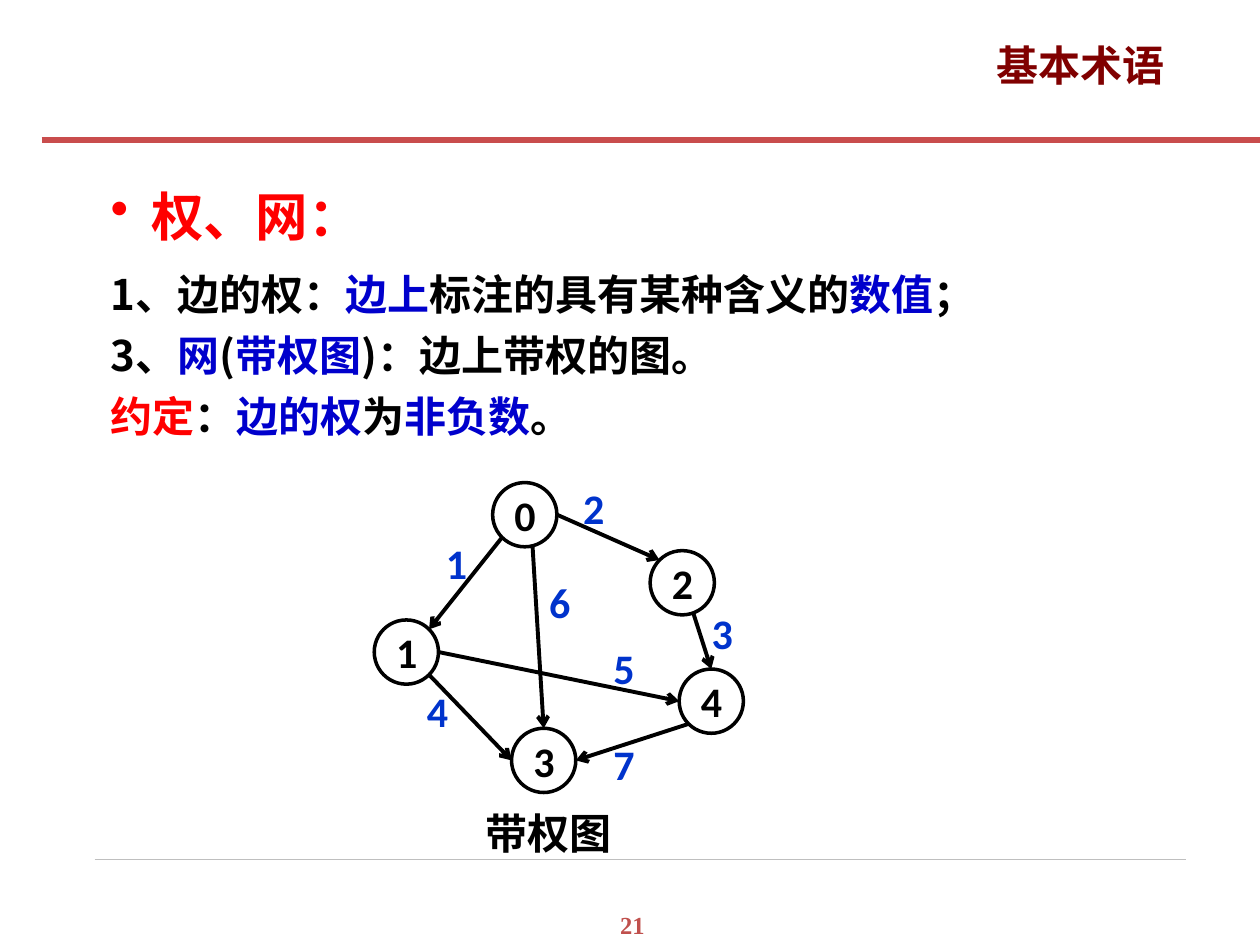
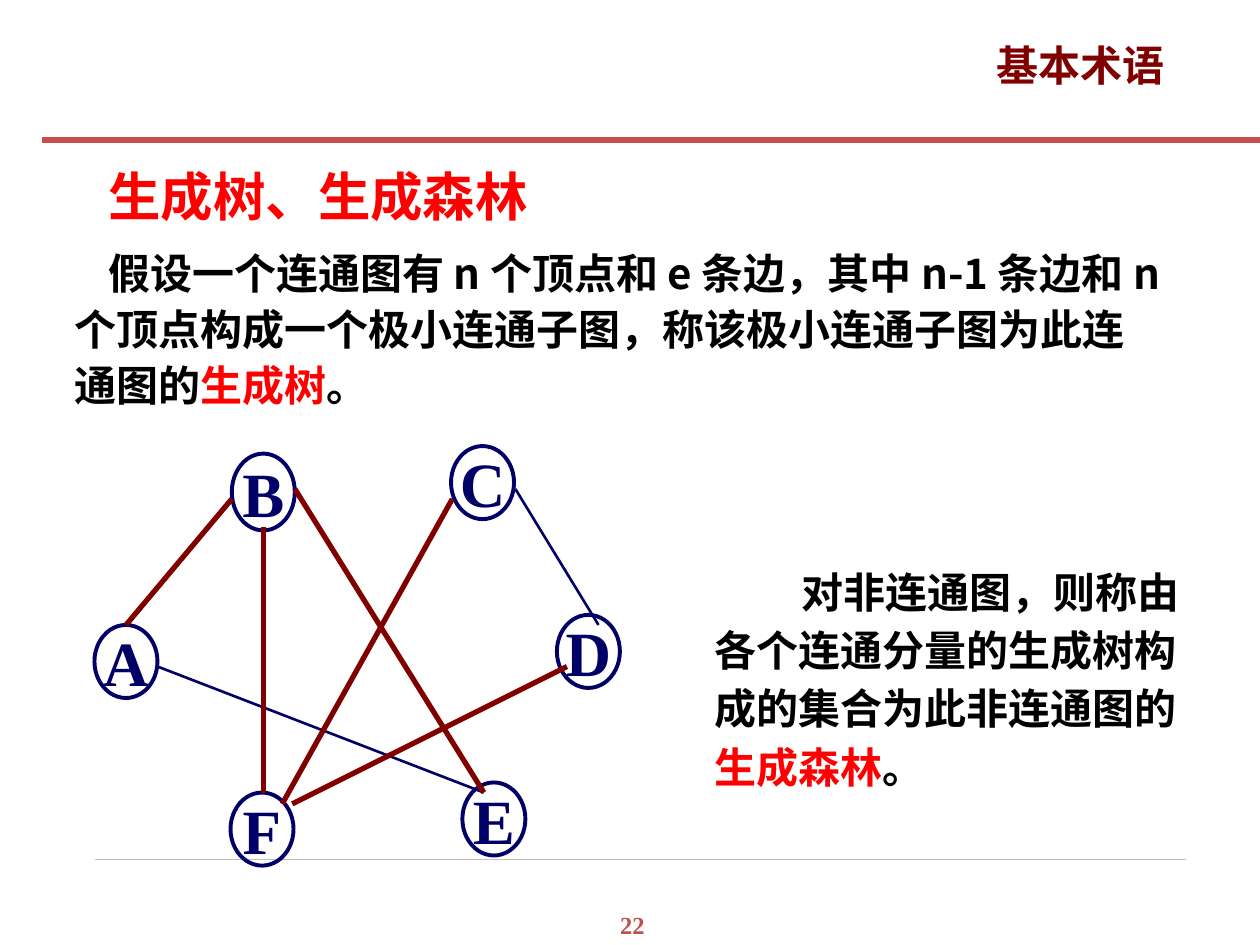
from math import cos, radians, sin
from lxml import etree
from pptx import Presentation
from pptx.dml.color import RGBColor
from pptx.enum.shapes import MSO_CONNECTOR, MSO_SHAPE
from pptx.enum.text import MSO_ANCHOR, PP_ALIGN
from pptx.oxml.ns import qn
from pptx.util import Inches, Pt

CJK, SERIF, SANS = "Noto Sans CJK SC", "Times New Roman", "Calibri"
BLACK, RED, MAROON, NAVY = "000000", "FF0000", "800000", "000066"
KEY, WEIGHT, BAND, NUMBER, RULE = "0000CC", "0033CC", "C94D4D", "C0504D", "BFBFBF"

TITLE = " 基本术语"
NET_HEADING = "权、网："
NET_LINES = [
    [("1、边的权：", BLACK), ("边上", KEY), ("标注的具有某种含义的", BLACK),
     ("数值", KEY), ("；", BLACK)],
    [("3、", BLACK), ("网", KEY), ("(", BLACK), ("带权图", KEY),
     (")：边上带权的图。", BLACK)],
    [("约定", RED), ("：", BLACK), ("边的权", KEY), ("为", BLACK),
     ("非负数", KEY), ("。", BLACK)],
]
NET_CAPTION = "带权图"
NET_SIZE = 0.51
NET_NODES = {"0": (3.91, 3.83), "1": (2.97, 4.92), "2": (5.16, 4.37),
             "3": (4.06, 5.78), "4": (5.39, 5.31)}
NET_ARROWS = [
    ("0", 135, "1", -45, "1", (3.44, 4.22)),
    ("0", 0, "2", -135, "2", (4.53, 3.78)),
    ("2", 70, "4", -90, "3", (5.55, 4.77)),
    ("1", 45, "3", 180, "4", (3.29, 5.39)),
    ("1", 0, "4", 180, "5", (4.77, 5.05)),
    ("0", 76, "3", -90, "6", (4.26, 4.53)),
    ("4", 135, "3", 0, "7", (4.77, 5.81)),
]

TREE_HEADING = "生成树、生成森林"
TREE_TEXT = [
    ("假设一个连通图有 n 个顶点和 e 条边，其中 n-1 条边和 n 个顶点构成一个极小连通子图，"
     "称该极小连通子图为此连通图的", BLACK), ("生成树", RED), ("。", BLACK)]
FOREST_TEXT = [
    ("对非连通图，则称由各个连通分量的生成树构成的集合为此非连通图的", BLACK),
    ("生成森林", RED), ("。", BLACK)]
TREE_NODES = {"A": (0.75, 4.96, 0.58), "B": (1.84, 3.6, 0.61), "C": (3.58, 3.54, 0.58),
              "D": (4.42, 4.88, 0.58), "E": (3.67, 6.21, 0.58), "F": (1.83, 6.29, 0.58)}
TREE_EDGES = [
    (1.84, 3.96, 1, 4.96), (2.34, 3.88, 3.84, 6.29), (3.59, 3.96, 2.24, 6.38),
    (4.5, 5.29, 2.32, 6.38), (2.09, 4.18, 2.09, 6.29)]
OTHER_EDGES = [(1.25, 5.29, 3.84, 6.29), (4.09, 3.88, 4.75, 4.96)]


def rgb(color):
    return RGBColor.from_string(color)


def add_text(tf, text, size=24, font=CJK, color=BLACK, align=PP_ALIGN.LEFT,
             spacing=None, before=0, indent=0, hang=0, first=True):
    p = tf.paragraphs[0] if first else tf.add_paragraph()
    p.alignment = align
    p.space_before = Pt(before)
    if spacing:
        p.line_spacing = Pt(spacing)
    pPr = p._p.get_or_add_pPr()
    pPr.set("marL", str(Inches(hang)))
    pPr.set("indent", str(Inches(indent - hang)))
    if hang:
        etree.SubElement(pPr, qn("a:buChar")).set("char", "•")
    for part, part_color in [(text, color)] if isinstance(text, str) else text:
        r = p.add_run()
        r.text = part
        r.font.size, r.font.name, r.font.bold = Pt(size), font, True
        r.font.color.rgb = rgb(part_color)
        etree.SubElement(r._r.get_or_add_rPr(), qn("a:ea")).set("typeface", font)


def add_box(s, x, y, w, h, wrap=True):
    tf = s.shapes.add_textbox(Inches(x), Inches(y), Inches(w), Inches(h)).text_frame
    tf.word_wrap = wrap
    return tf


def add_line(s, x1, y1, x2, y2, color, width, arrow=False):
    line = s.shapes.add_connector(MSO_CONNECTOR.STRAIGHT, Inches(x1), Inches(y1),
                                  Inches(x2), Inches(y2))
    line.line.color.rgb = rgb(color)
    line.line.width = Pt(width)
    if arrow:
        etree.SubElement(line.line._get_or_add_ln(), qn("a:tailEnd")).set("type", "arrow")
    etree.SubElement(line._element.spPr, qn("a:effectLst"))


def add_node(s, name, x, y, w, h, color, width, wrap, **fmt):
    sp = s.shapes.add_shape(MSO_SHAPE.OVAL, Inches(x), Inches(y), Inches(w), Inches(h))
    sp.shadow.inherit = False
    sp.fill.background()
    sp.line.color.rgb = rgb(color)
    sp.line.width = Pt(width)
    tf = sp.text_frame
    tf.word_wrap = wrap
    tf.vertical_anchor = MSO_ANCHOR.MIDDLE
    add_text(tf, name, color=color, align=PP_ALIGN.CENTER, **fmt)


def add_slide(prs, number):
    s = prs.slides.add_slide(prs.slide_layouts[5])
    add_line(s, 0.75, 6.82, 9.41, 6.82, RULE, 0.25)
    add_line(s, 0.33, 1.11, 10, 1.11, BAND, 3.5)
    add_text(add_box(s, 4.77, 7.17, 0.5, 0.34), str(number), size=14, font=SERIF,
             color=NUMBER, align=PP_ALIGN.CENTER)
    title = s.shapes.title
    title.left, title.top = Inches(7.34), Inches(0.26)
    title.width, title.height = Inches(2.39), Inches(0.69)
    tf = title.text_frame
    tf.word_wrap = False
    tf.vertical_anchor = MSO_ANCHOR.TOP
    add_text(tf, TITLE, color=MAROON, align=PP_ALIGN.CENTER, spacing=29)
    return s


def rim(name, angle):
    x, y = NET_NODES[name]
    radius = NET_SIZE / 2
    return (x + radius * (1 + cos(radians(angle))),
            y + radius * (1 + sin(radians(angle))))


def build_net(prs):
    s = add_slide(prs, 21)
    tf = add_box(s, 0.78, 1.41, 8.75, 2.14)
    add_text(tf, NET_HEADING, size=30, color=RED, spacing=36, hang=0.32)
    for i, line in enumerate(NET_LINES):
        add_text(tf, line, spacing=35, before=0 if i else 6, first=False)
    add_text(add_box(s, 3.42, 6.36, 1.87, 0.5), NET_CAPTION, align=PP_ALIGN.CENTER,
             spacing=29)
    for name, (x, y) in NET_NODES.items():
        add_node(s, name, x, y, NET_SIZE, NET_SIZE, BLACK, 2, True, font=SANS)
    for start, a1, end, a2, weight, (x, y) in NET_ARROWS:
        add_line(s, *rim(start, a1), *rim(end, a2), BLACK, 2.25, arrow=True)
        add_text(add_box(s, x, y, 0.31, 0.5), weight, font=SANS, color=WEIGHT)


def build_tree(prs):
    s = add_slide(prs, 22)
    add_text(add_box(s, 0.76, 1.25, 3.53, 0.6, wrap=False), TREE_HEADING, size=30,
             color=RED, spacing=36)
    add_text(add_box(s, 0.49, 1.87, 8.84, 1.5), TREE_TEXT, spacing=32, indent=0.27)
    add_text(add_box(s, 5.57, 4.38, 3.94, 2.02), FOREST_TEXT, spacing=33.4, indent=0.69)
    for name, (x, y, h) in TREE_NODES.items():
        add_node(s, name, x, y, 0.5, h, NAVY, 2.25, False, size=36, font=SERIF)
    for edge in OTHER_EDGES:
        add_line(s, *edge, NAVY, 1.5)
    for edge in TREE_EDGES:
        add_line(s, *edge, MAROON, 3)


def main():
    prs = Presentation()
    prs.slide_width, prs.slide_height = Inches(10), Inches(7.5)
    build_net(prs)
    build_tree(prs)
    prs.save("out.pptx")


if __name__ == "__main__":
    main()
